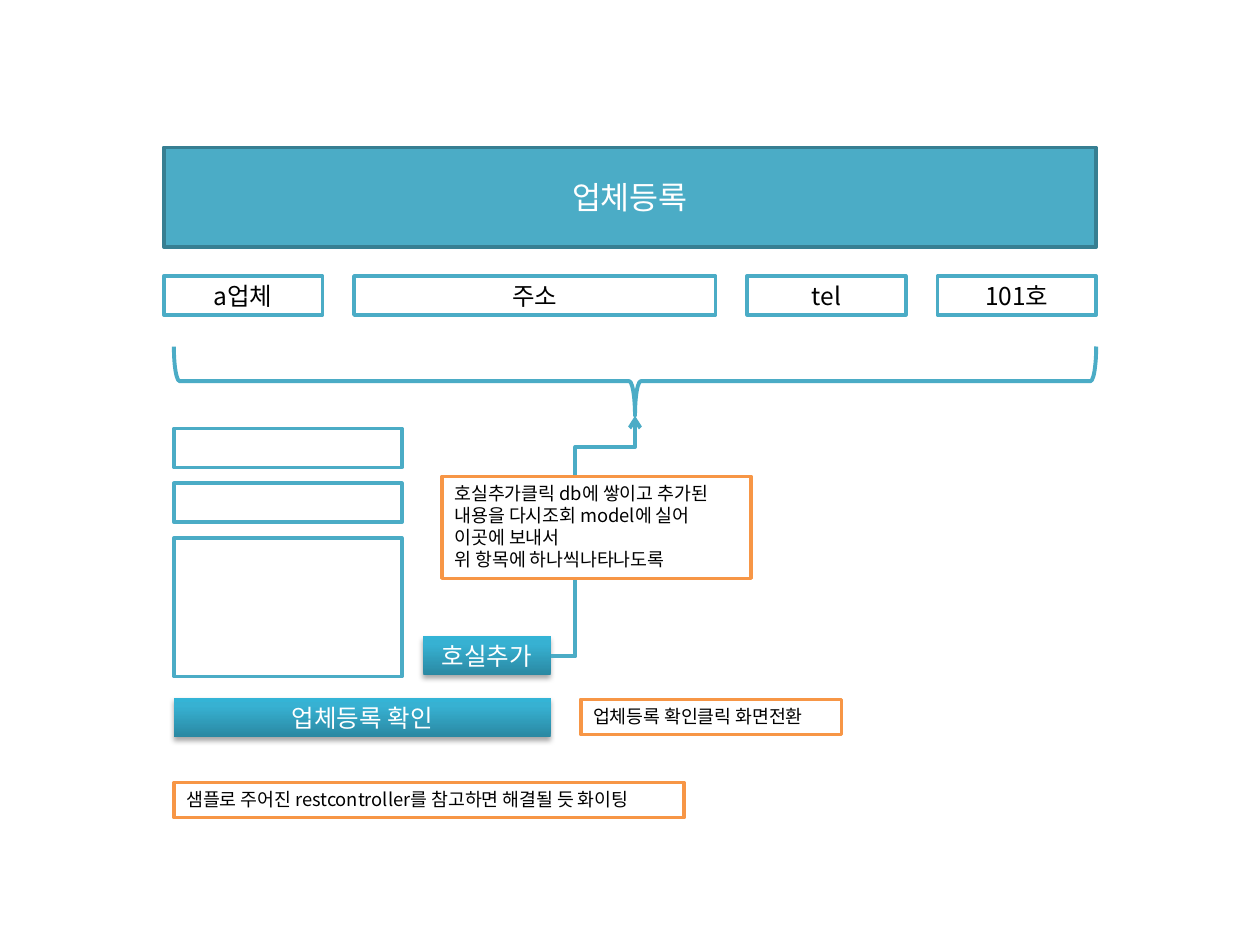
from lxml.etree import SubElement
from pptx import Presentation
from pptx.dml.color import RGBColor
from pptx.enum.shapes import MSO_CONNECTOR, MSO_SHAPE
from pptx.enum.text import MSO_ANCHOR, MSO_AUTO_SIZE, PP_ALIGN
from pptx.oxml import parse_xml
from pptx.oxml.ns import nsdecls, qn
from pptx.util import Inches, Pt

TEAL = RGBColor(0x4B, 0xAC, 0xC6)
DARK_TEAL = RGBColor(0x37, 0x7F, 0x92)
ORANGE = RGBColor(0xF7, 0x96, 0x46)
WHITE = RGBColor(0xFF, 0xFF, 0xFF)
BLACK = RGBColor(0, 0, 0)
BUTTON_STOPS = [
    (0, RGBColor(0x2A, 0x88, 0xA2)),
    (80, RGBColor(0x37, 0xB1, 0xD2)),
    (100, RGBColor(0x34, 0xB4, 0xD6)),
]
FONT = "Noto Sans CJK KR"


def write_text(shape, *lines, size=14, color=BLACK, align=PP_ALIGN.CENTER,
               anchor=MSO_ANCHOR.MIDDLE):
    frame = shape.text_frame
    frame.vertical_anchor = anchor
    for index, line in enumerate(lines):
        para = frame.add_paragraph() if index else frame.paragraphs[0]
        para.alignment = align
        span = para.add_run()
        span.text = line
        span.font.name = FONT
        span.font.size = Pt(size)
        span.font.color.rgb = color
        SubElement(span.font._element, qn("a:ea"), typeface=FONT)


def add_box(page, box, fill=WHITE, line=TEAL, kind=MSO_SHAPE.RECTANGLE, width=2):
    shape = page.shapes.add_shape(kind, *map(Inches, box))
    shape.shadow.inherit = False
    if fill is None:
        shape.fill.background()
    else:
        shape.fill.solid()
        shape.fill.fore_color.rgb = fill
    shape.line.color.rgb = line
    shape.line.width = Pt(width)
    return shape


def add_button(page, box, label):
    shape = add_box(page, box)
    shape.line.fill.background()
    props = shape._element.spPr
    # Gradient from dark at the bottom to light at the top
    stops = "".join(
        f'<a:gs pos="{place * 1000}"><a:srgbClr val="{color}"/></a:gs>'
        for place, color in BUTTON_STOPS)
    gradient = parse_xml(
        f'<a:gradFill {nsdecls("a")} rotWithShape="1"><a:gsLst>{stops}</a:gsLst>'
        '<a:lin ang="16200000" scaled="0"/></a:gradFill>')
    props.replace(props.find(qn("a:solidFill")), gradient)
    # Soft shadow below
    effects = props.find(qn("a:effectLst"))
    effects.append(parse_xml(
        f'<a:outerShdw {nsdecls("a")} blurRad="{Pt(3.1)}" dist="{Pt(1.8)}" '
        'dir="5400000" rotWithShape="0"><a:srgbClr val="000000">'
        '<a:alpha val="35000"/></a:srgbClr></a:outerShdw>'))
    write_text(shape, label, color=WHITE)


def add_note(page, box, *lines):
    shape = add_box(page, box, line=ORANGE)
    write_text(shape, *lines, size=10.5, align=PP_ALIGN.LEFT, anchor=MSO_ANCHOR.TOP)
    shape.text_frame.word_wrap = False
    shape.text_frame.auto_size = MSO_AUTO_SIZE.SHAPE_TO_FIT_TEXT


def add_header(page, box):
    banner = add_box(page, box, fill=TEAL, line=DARK_TEAL)
    write_text(banner, "업체등록", size=18, color=WHITE)


def add_record_row(page, box):
    left, top, width, height = box
    cells = [("a업체", 1.26), ("주소", 2.87), ("tel", 1.26), ("101호", 1.26)]
    gap = (width - sum(size for _, size in cells)) / (len(cells) - 1)
    for label, size in cells:
        write_text(add_box(page, (left, top, size, height)), label)
        left += size + gap


def add_brace(page, box):
    # A left brace turned to point down: width and height swap round the centre
    left, top, width, height = box
    upright = (left + (width - height) / 2, top + (height - width) / 2, height, width)
    brace = add_box(page, upright, fill=None, kind=MSO_SHAPE.LEFT_BRACE, width=2.25)
    brace.rotation = 270


def add_form(page, box):
    left, top, width, height = box
    field_width, field_height, step = 1.81, 0.31, 0.435
    # Input fields: two single lines and one large area
    for row, tall in enumerate([field_height, field_height, 1.1]):
        add_box(page, (left, top + row * step, field_width, tall))
    # Buttons
    add_button(page, (left + width - 1.01, top + 1.65, 1.01, field_height), "호실추가")
    add_button(page, (left, top + height - field_height, width, field_height),
               "업체등록 확인")


def add_flow_arrow(page, start, end):
    arrow = page.shapes.add_connector(
        MSO_CONNECTOR.ELBOW, *map(Inches, start + end))
    arrow.line.color.rgb = TEAL
    arrow.line.width = Pt(2.25)
    props = arrow._element.spPr
    # Four-part elbow with its two bends
    geometry = props.find(qn("a:prstGeom"))
    geometry.set("prst", "bentConnector4")
    bends = geometry.find(qn("a:avLst"))
    if bends is None:
        bends = SubElement(geometry, qn("a:avLst"))
    for name, value in (("adj1", 29400), ("adj2", 87000)):
        SubElement(bends, qn("a:gd"), name=name, fmla=f"val {value}")
    SubElement(props.find(qn("a:ln")), qn("a:tailEnd"), type="arrow")
    SubElement(props, qn("a:effectLst"))


def add_notes(page):
    add_note(page, (3.51, 3.78, 2.45, 0.81),
             "호실추가클릭 db에 쌓이고 추가된", "내용을 다시조회 model에 실어",
             "이곳에 보내서", "위 항목에 하나씩나타나도록")
    add_note(page, (4.61, 5.55, 2.07, 0.28), "업체등록 확인클릭 화면전환")
    add_note(page, (1.38, 6.21, 4.05, 0.28),
             "샘플로 주어진 restcontroller를 참고하면 해결될 듯 화이팅")


def main():
    deck = Presentation()
    deck.slide_width, deck.slide_height = Inches(10), Inches(7.5)
    page = deck.slides.add_slide(deck.slide_layouts[6])
    add_header(page, (1.3, 1.17, 7.4, 0.79))
    add_form(page, (1.38, 3.4, 2.99, 2.45))
    add_record_row(page, (1.3, 2.19, 7.4, 0.31))
    add_brace(page, (1.38, 2.75, 7.32, 0.55))
    add_flow_arrow(page, (4.37, 5.21), (5.04, 3.3))
    add_notes(page)
    deck.save("out.pptx")


if __name__ == "__main__":
    main()
